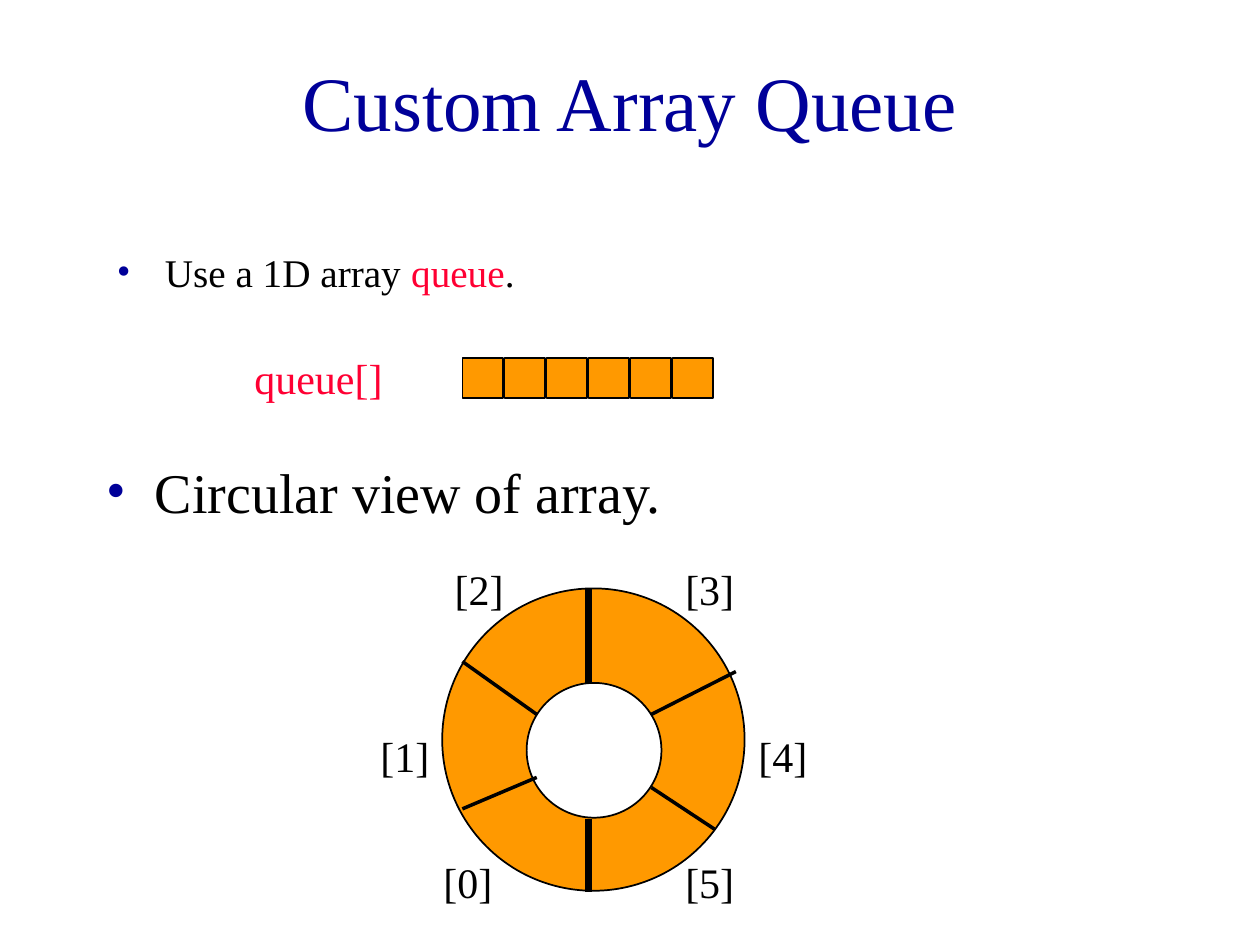
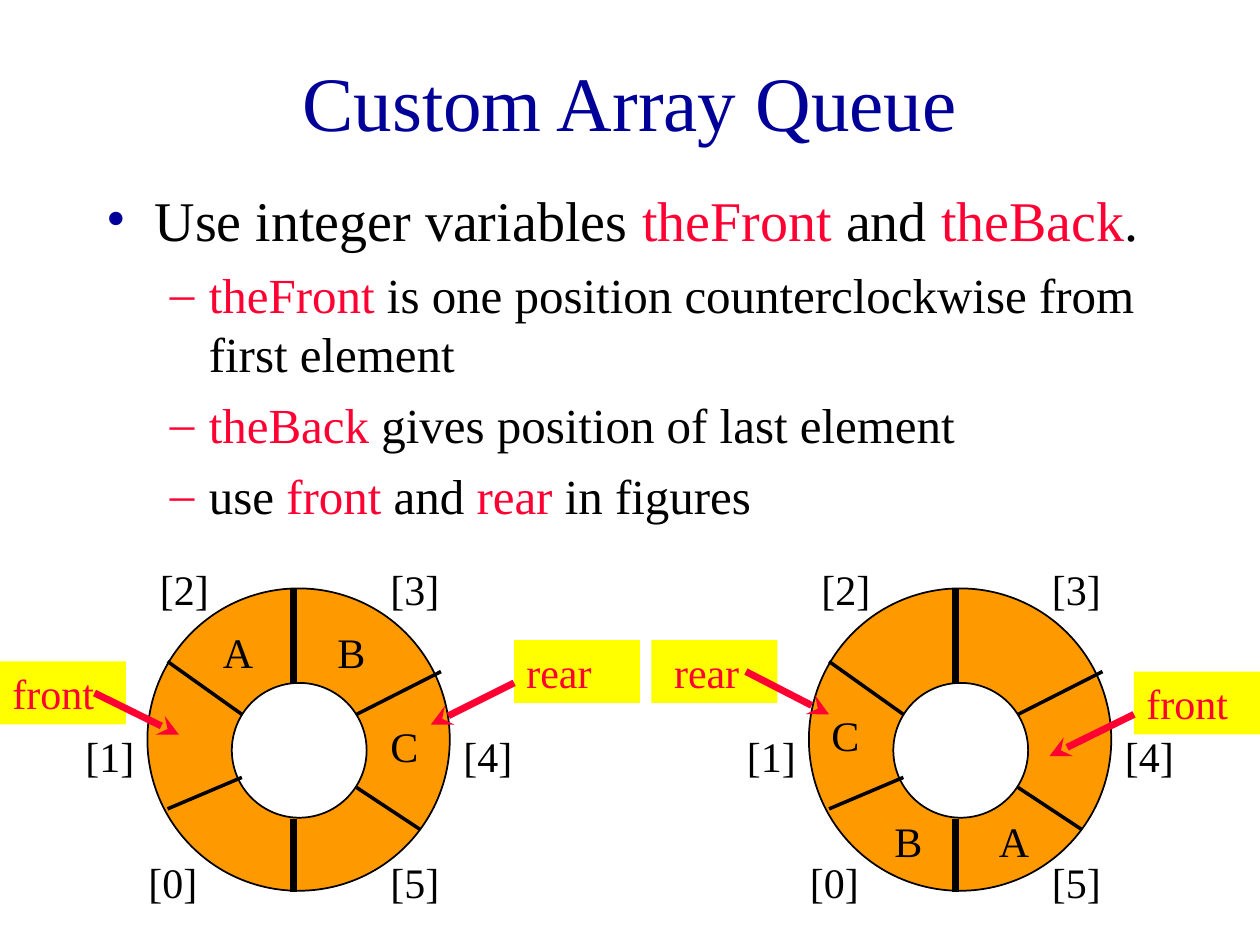
from typing import NamedTuple

from lxml.etree import SubElement
from pptx import Presentation
from pptx.dml.color import RGBColor
from pptx.enum.shapes import MSO_CONNECTOR as Connector, MSO_SHAPE as Preset
from pptx.enum.text import MSO_ANCHOR as Anchor, PP_ALIGN as Align
from pptx.oxml.ns import qn
from pptx.util import Inches, Pt

NAVY = RGBColor(0x00, 0x00, 0x99)
RED = RGBColor(0xFF, 0x00, 0x33)
ORANGE = RGBColor(0xFF, 0x99, 0x00)
YELLOW = RGBColor(0xFF, 0xFF, 0x00)
BLACK = RGBColor(0x00, 0x00, 0x00)
WHITE = RGBColor(0xFF, 0xFF, 0xFF)
FONT = "Times New Roman"
TITLE = "Custom Array Queue"
RING_TOP = 4.67
CELL_COUNT = 6


class Box(NamedTuple):
    """Left, top, width and height in inches."""
    left: float
    top: float
    width: float
    height: float = 0.5

    def lengths(self) -> list:
        """Return the four sides as lengths."""
        return [Inches(side) for side in self]


class Line(NamedTuple):
    """A straight line between two points, in inches."""
    start_x: float
    start_y: float
    end_x: float
    end_y: float
    width: float = 2


class Label(NamedTuple):
    """A short text placed relative to the left edge of a ring."""
    text: str
    left: float
    top: float


class Pointer(NamedTuple):
    """A yellow name tag with an arrow into a ring."""
    text: str
    left: float
    top: float
    arrow: Line
    inset: float = 0.1


class BulletStyle(NamedTuple):
    """The look of one outline level."""
    level: int
    symbol: str
    color: RGBColor
    margin: float
    hanging: float
    size: float
    space: float


class Bullet(NamedTuple):
    """A bulleted paragraph given as (text, color) runs."""
    style: BulletStyle
    runs: list


POINT = BulletStyle(0, "•", NAVY, 0.38, 0.38, 32, 8)
SMALL_POINT = POINT._replace(size=22.4)
DASH = BulletStyle(1, "–", RED, 0.81, 0.31, 28, 7)

SPOKES = [
    Line(1.16, 4.67, 1.16, 5.42, 4),
    Line(1.16, 6.5, 1.16, 7.08, 4),
    Line(0.16, 5.25, 0.75, 5.67),
    Line(0.75, 6.17, 0.16, 6.42),
    Line(1.66, 5.67, 2.33, 5.33),
    Line(1.66, 6.25, 2.16, 6.58),
]
INDEX_LABELS = [
    Label("[0]", -0.09, 6.75),
    Label("[1]", -0.59, 5.75),
    Label("[2]", 0, 4.42),
    Label("[3]", 1.83, 4.42),
    Label("[4]", 2.41, 5.75),
    Label("[5]", 1.83, 6.75),
]
LEFT_ELEMENTS = [Label("A", 0.5, 4.92), Label("B", 1.41, 4.92), Label("C", 1.83, 5.67)]
RIGHT_ELEMENTS = [Label("A", 1.41, 6.42), Label("B", 0.58, 6.42), Label("C", 0.08, 5.58)]
POINTERS = [
    Pointer("front", 0, 5.25, Line(0.75, 5.5, 1.42, 5.83, 4)),
    Pointer("rear", 4.08, 5.08, Line(4.08, 5.42, 3.42, 5.75, 4)),
    Pointer("front", 9, 5.33, Line(9, 5.67, 8.33, 6, 4)),
    Pointer("rear", 5.17, 5.08, Line(5.92, 5.33, 6.58, 5.67, 4), 0.18),
]


def add_run(paragraph, text: str, size: float, color: RGBColor) -> None:
    """Add one formatted run."""
    run = paragraph.add_run()
    run.text = text
    run.font.name = FONT
    run.font.size = Pt(size)
    run.font.color.rgb = color


def add_text(shapes, box: Box, text: str, color: RGBColor = BLACK, size: float = 24):
    """Add a wrapped one-paragraph text box and return its frame."""
    frame = shapes.add_textbox(*box.lengths()).text_frame
    frame.word_wrap = True
    add_run(frame.paragraphs[0], text, size, color)
    return frame


def add_bullets(shapes, box: Box, bullets: list[Bullet]) -> None:
    """Add a text box of bulleted paragraphs."""
    frame = shapes.add_textbox(*box.lengths()).text_frame
    frame.word_wrap = True
    for number, (style, runs) in enumerate(bullets):
        paragraph = frame.add_paragraph() if number else frame.paragraphs[0]
        paragraph.level = style.level
        if number:
            paragraph.space_before = Pt(style.space)
        properties = paragraph._p.get_or_add_pPr()
        properties.set("marL", str(Inches(style.margin)))
        properties.set("indent", str(-Inches(style.hanging)))
        color = SubElement(properties, qn("a:buClr"))
        SubElement(color, qn("a:srgbClr"), val=str(style.color))
        SubElement(properties, qn("a:buFont"), typeface=FONT)
        SubElement(properties, qn("a:buChar"), char=style.symbol)
        for text, run_color in runs:
            add_run(paragraph, text, style.size, run_color)


def add_filled(shapes, preset: Preset, box: Box, fill: RGBColor, outlined: bool = True):
    """Add a filled preset shape, outlined in black if asked."""
    shape = shapes.add_shape(preset, *box.lengths())
    shape.shadow.inherit = False
    shape.fill.solid()
    shape.fill.fore_color.rgb = fill
    if outlined:
        shape.line.color.rgb = BLACK
        shape.line.width = Pt(1)
    else:
        shape.line.fill.background()
    return shape


def add_line(shapes, line: Line, color: RGBColor = BLACK, offset: float = 0, arrow: bool = False) -> None:
    """Add a straight line, with an arrowhead at its end if asked."""
    connector = shapes.add_connector(
        Connector.STRAIGHT, Inches(line.start_x + offset), Inches(line.start_y),
        Inches(line.end_x + offset), Inches(line.end_y))
    connector.line.color.rgb = color
    connector.line.width = Pt(line.width)
    properties = connector.element.spPr
    if arrow:
        SubElement(properties.find(qn("a:ln")), qn("a:tailEnd"), type="stealth")
    SubElement(properties, qn("a:effectLst"))


def add_ring(slide, left: float, elements: list[Label]) -> None:
    """Add a circular array with its indexes and elements."""
    shapes = slide.shapes.add_group_shape().shapes
    add_filled(shapes, Preset.OVAL, Box(left, RING_TOP, 2.4, 2.4), ORANGE)
    add_filled(shapes, Preset.OVAL, Box(left + 0.67, RING_TOP + 0.75, 1.07, 1.07), WHITE)
    for spoke in SPOKES:
        add_line(shapes, spoke, offset=left)
    for labels, width in ((INDEX_LABELS, 0.92), (elements, 0.67)):
        for label in labels:
            add_text(shapes, Box(left + label.left, label.top, width), label.text)


def add_pointer(slide, pointer: Pointer) -> None:
    """Add a name tag and its arrow."""
    shapes = slide.shapes.add_group_shape().shapes
    tag = add_filled(shapes, Preset.RECTANGLE, Box(pointer.left, pointer.top, 1), YELLOW, outlined=False)
    frame = tag.text_frame
    frame.word_wrap = True
    frame.vertical_anchor = Anchor.TOP
    frame.margin_left = Inches(pointer.inset)
    frame.paragraphs[0].alignment = Align.LEFT
    add_run(frame.paragraphs[0], pointer.text, 24, RED)
    add_line(shapes, pointer.arrow, RED, arrow=True)


def add_linear_array(slide) -> None:
    """Add the row of array cells with its name."""
    shapes = slide.shapes.add_group_shape().shapes
    for index in range(CELL_COUNT):
        add_filled(shapes, Preset.RECTANGLE, Box(3.67 + index / 3, 2.84, 0.32, 0.32), ORANGE)
    add_text(shapes, Box(1.92, 2.75, 1.42), "queue[]", RED)


def add_titled_slide(presentation):
    """Add a blank slide carrying the shared title."""
    slide = presentation.slides.add_slide(presentation.slide_layouts[6])
    frame = add_text(slide.shapes, Box(0.75, 0.17, 8.5, 1.25), TITLE, NAVY, 44)
    frame.vertical_anchor = Anchor.MIDDLE
    frame.paragraphs[0].alignment = Align.CENTER
    return slide


def build_array_slide(presentation) -> None:
    """Build the slide with the linear and circular views."""
    slide = add_titled_slide(presentation)
    add_bullets(slide.shapes, Box(0.83, 1.92, 8.5), [
        Bullet(SMALL_POINT, [("Use a 1D array ", BLACK), ("queue", RED), (".", BLACK)])])
    add_linear_array(slide)
    add_bullets(slide.shapes, Box(0.75, 3.58, 8.5), [
        Bullet(POINT, [("Circular view of array.", BLACK)])])
    add_ring(slide, 3.51, [])


def build_variables_slide(presentation) -> None:
    """Build the slide with the front and rear positions."""
    slide = add_titled_slide(presentation)
    add_bullets(slide.shapes, Box(0.75, 1.42, 8.5, 2.92), [
        Bullet(POINT, [("Use integer variables ", BLACK), ("theFront ", RED), ("and ", BLACK),
                       ("theBack", RED), (".", BLACK)]),
        Bullet(DASH, [("theFront ", RED),
                      ("is one position counterclockwise from first element", BLACK)]),
        Bullet(DASH, [("theBack ", RED), ("gives position of last element", BLACK)]),
        Bullet(DASH, [("use ", BLACK), ("front", RED), (" and ", BLACK), ("rear", RED),
                      (" in figures", BLACK)]),
    ])
    add_ring(slide, 1.17, LEFT_ELEMENTS)
    add_ring(slide, 6.42, RIGHT_ELEMENTS)
    for pointer in POINTERS:
        add_pointer(slide, pointer)


def main() -> None:
    """Build and save the presentation."""
    presentation = Presentation()
    presentation.slide_width = Inches(10)
    presentation.slide_height = Inches(7.5)
    build_array_slide(presentation)
    build_variables_slide(presentation)
    presentation.save("out.pptx")


if __name__ == "__main__":
    main()
